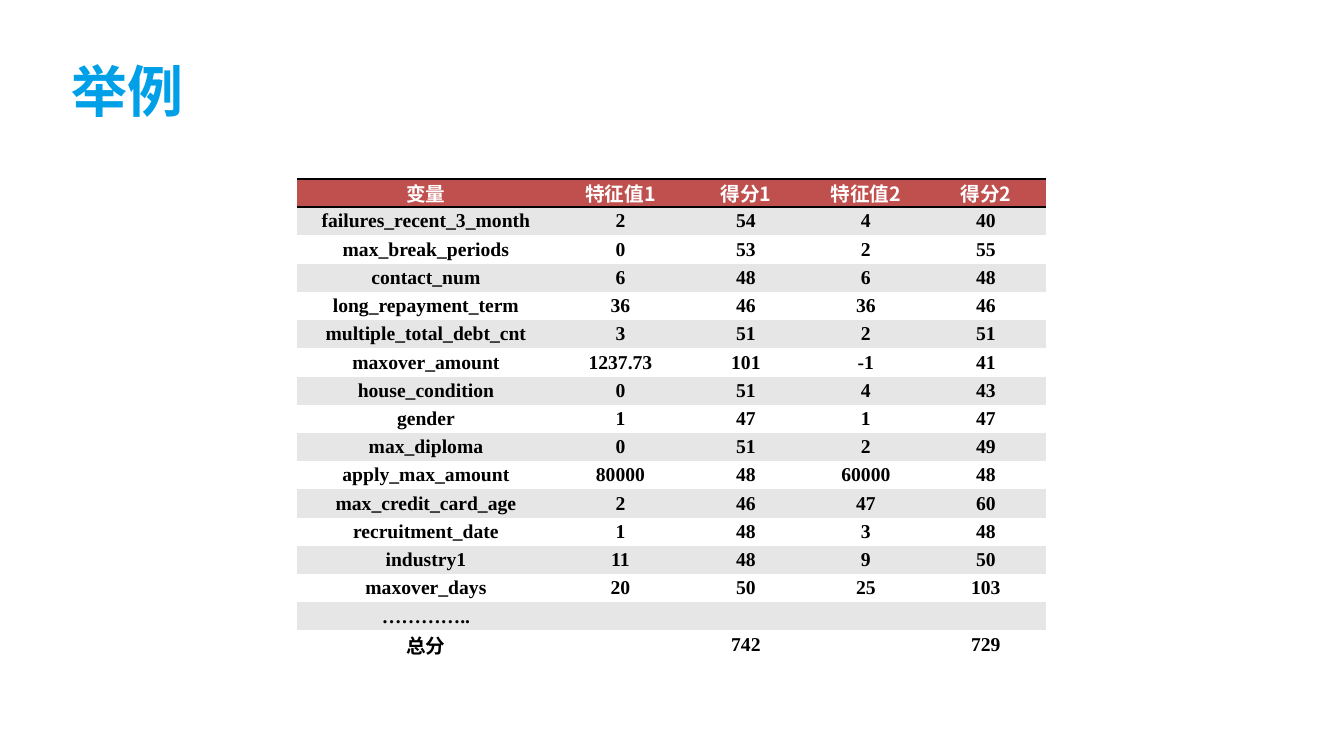
import pptx
import pptx.util
import pptx.dml.color
import pptx.enum.text
import pptx.oxml
import pptx.oxml.ns
import lxml.etree

hues = {
    "title": "00A0E9",
    "head": "C0504D",
    "band": "E6E6E6",
    "white": "FFFFFF",
    "black": "000000",
}
sans = "Noto Sans CJK SC"
serif = "Times New Roman"
align = pptx.enum.text.PP_ALIGN
middle = pptx.enum.text.MSO_ANCHOR.MIDDLE
qname = pptx.oxml.ns.qn


def px(count):
    return round(count * 914400 / 100.8)


def write(frame, text, font=serif, size=14, hue="black", side=align.CENTER):
    para = frame.paragraphs[0]
    para.alignment = side
    if text:
        run = para.add_run()
        run.text = text
        run.font.name = font
        run.font.size = pptx.util.Pt(size)
        run.font.bold = True
        run.font.color.rgb = pptx.dml.color.RGBColor.from_string(hues[hue])
        east = lxml.etree.SubElement(run.font._element, qname("a:ea"))
        east.set("typeface", sans)
    else:
        para._p.get_or_add_endParaRPr().set("sz", str(size * 100))


deck = pptx.Presentation()
deck.slide_width = px(1344)
deck.slide_height = px(756)
slide = deck.slides.add_slide(deck.slide_layouts[6])

title = slide.shapes.add_textbox(px(67), px(39), px(1210), px(103))
frame = title.text_frame
frame.word_wrap = True
frame.vertical_anchor = middle
frame.margin_left = frame.margin_right = px(5)
frame.margin_top = frame.margin_bottom = px(5)
write(frame, "举例", font=sans, size=40, hue="title", side=align.LEFT)

scores = [
    ("变量", "特征值1", "得分1", "特征值2", "得分2"),
    ("failures_recent_3_month", "2", "54", "4", "40"),
    ("max_break_periods", "0", "53", "2", "55"),
    ("contact_num", "6", "48", "6", "48"),
    ("long_repayment_term", "36", "46", "36", "46"),
    ("multiple_total_debt_cnt", "3", "51", "2", "51"),
    ("maxover_amount", "1237.73", "101", "-1", "41"),
    ("house_condition", "0", "51", "4", "43"),
    ("gender", "1", "47", "1", "47"),
    ("max_diploma", "0", "51", "2", "49"),
    ("apply_max_amount", "80000", "48", "60000", "48"),
    ("max_credit_card_age", "2", "46", "47", "60"),
    ("recruitment_date", "1", "48", "3", "48"),
    ("industry1", "11", "48", "9", "50"),
    ("maxover_days", "20", "50", "25", "103"),
    ("…………..", "", "", "", ""),
    ("总分", "", "742", "", "729"),
]
widths = [258, 131, 120, 120, 120]
high = px(480)
holder = slide.shapes.add_table(
    len(scores), len(widths), px(297), px(179), px(sum(widths)), high
)
table = holder.table
table.horz_banding = False
style = table._tbl.tblPr.find(qname("a:tableStyleId"))
style.text = "{2D5ABB26-0587-4C30-8999-92F81FD0307C}"

for column, width in zip(table.columns, widths):
    column.width = px(width)

for index, record in enumerate(scores):
    table.rows[index].height = high // len(scores)
    head = index == 0
    fill = "head" if head else "band" if index % 2 else "white"
    for place, text in enumerate(record):
        cell = table.cell(index, place)
        cell.vertical_anchor = middle
        cell.margin_left = cell.margin_right = px(7)
        cell.margin_top = cell.margin_bottom = 0
        cell.fill.solid()
        cell.fill.fore_color.rgb = pptx.dml.color.RGBColor.from_string(hues[fill])
        if head:
            write(cell.text_frame, text, font=sans, hue="white")
            for order, edge in enumerate(("lnT", "lnB")):
                line = pptx.oxml.parse_xml(
                    f'<a:{edge} {pptx.oxml.ns.nsdecls("a")} w="25400"><a:solidFill>'
                    f'<a:srgbClr val="{hues["black"]}"/></a:solidFill></a:{edge}>'
                )
                cell._tc.tcPr.insert(order, line)
        else:
            write(cell.text_frame, text)

deck.save("out.pptx")
